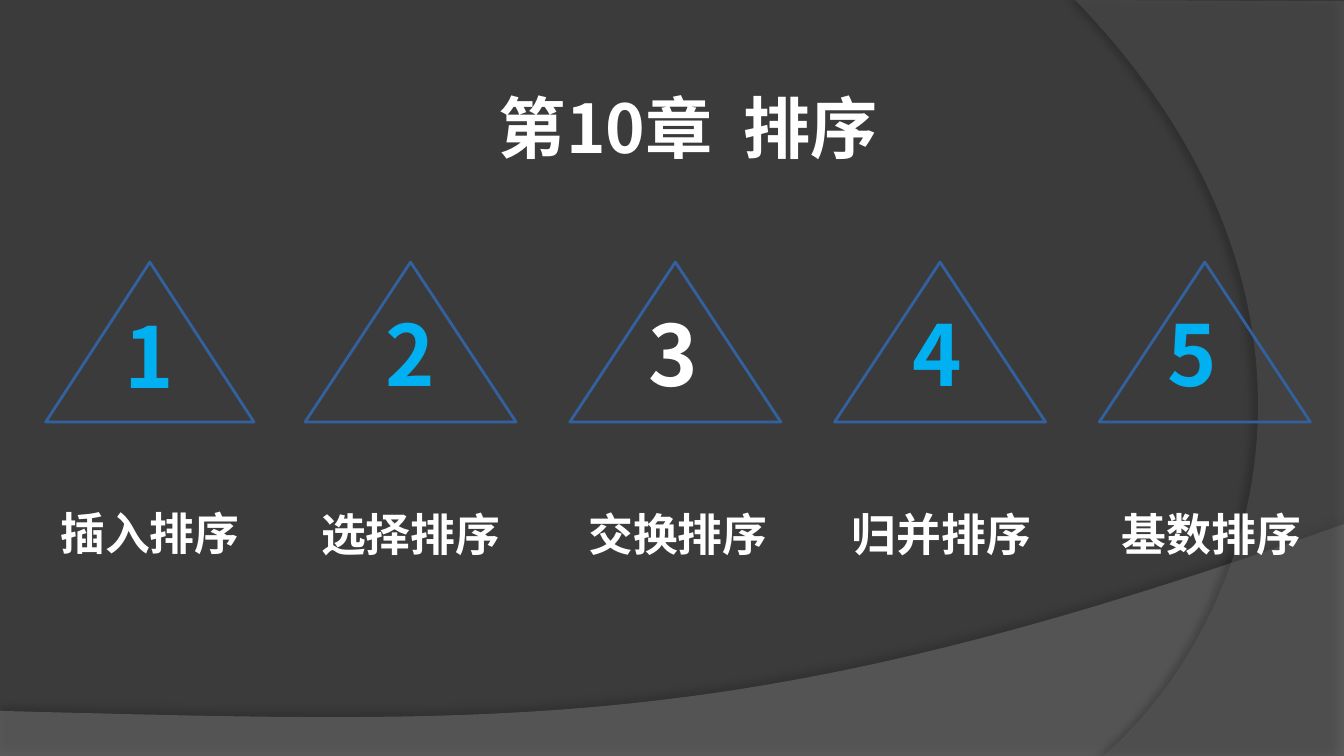
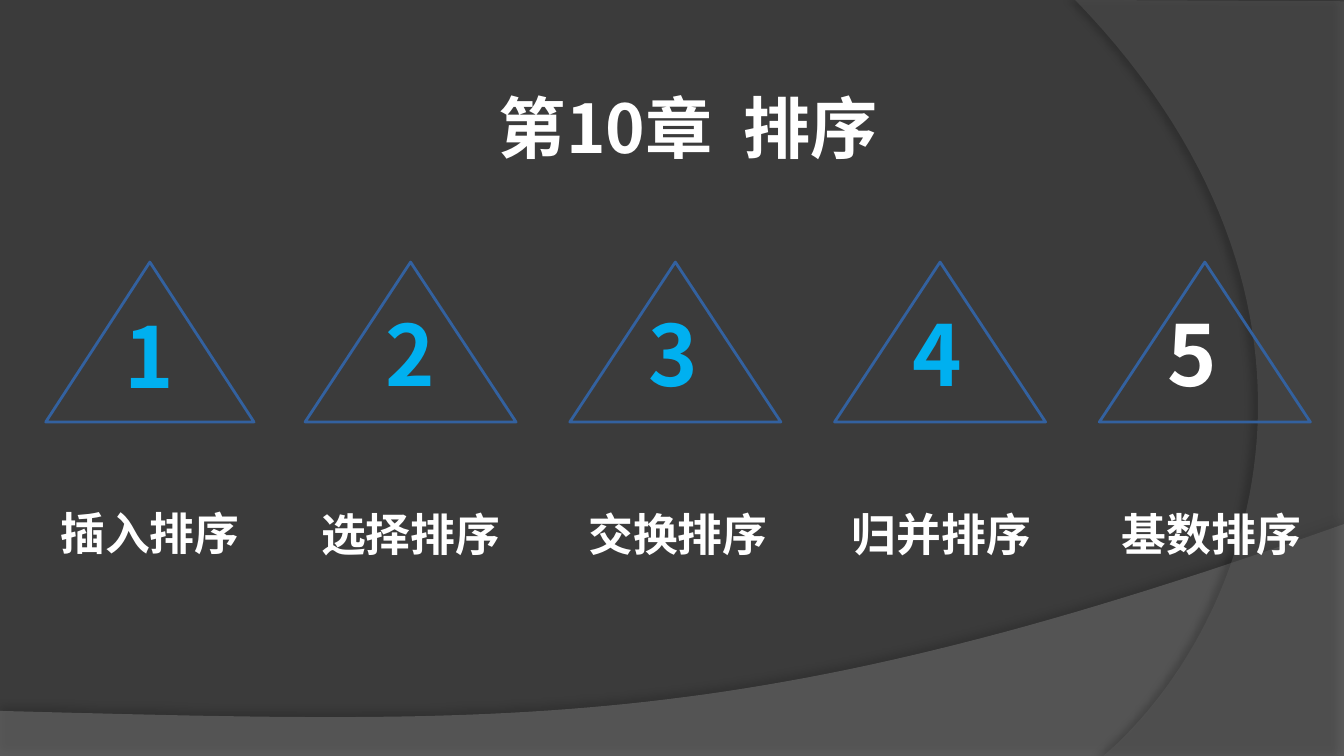
from dataclasses import dataclass

from lxml import etree
from pptx import Presentation
from pptx.dml.color import RGBColor
from pptx.enum.shapes import MSO_SHAPE
from pptx.enum.text import MSO_ANCHOR, MSO_AUTO_SIZE, PP_ALIGN
from pptx.oxml.ns import qn
from pptx.util import Inches, Pt

TRIANGLE = MSO_SHAPE.ISOSCELES_TRIANGLE
TOP = MSO_ANCHOR.TOP
GROW = MSO_AUTO_SIZE.SHAPE_TO_FIT_TEXT
LEFT, CENTER = PP_ALIGN.LEFT, PP_ALIGN.CENTER

# Square grid: 100 columns across the slide, rows of the same size
WIDTH = Inches(10)
HEIGHT = WIDTH * 9 // 16
CELL = WIDTH // 100
ROWS = HEIGHT / CELL

Point = tuple[float, float]


@dataclass(frozen=True)
class Theme:
    font: str = "Noto Sans CJK SC"
    background: str = "3B3B3B"
    text: str = "FFFFFF"
    number: str = "00B0F0"
    outline: str = "33619F"
    shadow: str = "000000"
    title_size: float = 36
    number_size: float = 45
    label_size: float = 24
    outline_width: float = 1.5


@dataclass(frozen=True)
class Box:
    left: float
    top: float
    width: float
    height: float

    def emu(self) -> tuple[int, ...]:
        return tuple(grid(v) for v in (self.left, self.top, self.width, self.height))


@dataclass(frozen=True)
class Insets:
    left: float = 1
    top: float = 0.5
    right: float = 1
    bottom: float = 0.5


@dataclass(frozen=True)
class TextStyle:
    size: float
    color: str
    align: PP_ALIGN = CENTER
    spacing: float = 1.0
    insets: Insets = Insets()


@dataclass(frozen=True)
class Band:
    """A straight outline closed by one cubic curve, with its soft edge."""
    corners: list[Point]
    curve: list[Point]
    color: str
    alpha: int
    shadow_alpha: int
    shadow_distance: float
    shadow_angle: int


@dataclass(frozen=True)
class Topic:
    label: str
    label_box: Box
    triangle: Box
    number_box: Box
    number_shift: float = 0
    label_align: PP_ALIGN = CENTER
    label_insets: Insets = Insets()


THEME = Theme()
TITLE = "第10章  排序"
TITLE_BOX = Box(20.9, 4.5, 60.6, 8.3)
TITLE_STYLE = TextStyle(THEME.title_size, THEME.text, CENTER, 1.25,
                        Insets(0.7, 0.4, 0.7, 0.4))

BANDS = [
    Band([(0, 52.9), (0, ROWS), (100, ROWS), (100, 39)],
         [(55.9, 54.7), (39.1, 53.9), (0, 52.9)],
         "7F7F7F", 45, 35, 3.5, 270),
    Band([(100, 0.1), (100, ROWS), (82.1, ROWS)],
         [(93.5, 46.4), (101.8, 22.5), (80, 0)],
         "5E5E5E", 40, 45, 4, 180),
]


def triangle_box(step: int) -> Box:
    return Box(22.7 + 19.7 * step, 19.5, 15.7, 11.9)


def number_box(left: float) -> Box:
    return Box(left, 22, 14.8, 8.6)


TOPICS = [
    Topic("插入排序", Box(3.5, 35.1, 16.5, 7.1), Box(3.4, 19.5, 15.5, 11.9),
          Box(3.8, 22.2, 14.6, 8.6), label_align=LEFT),
    Topic("选择排序", Box(22.4, 35.2, 16.7, 7.1), triangle_box(0),
          number_box(23.1), label_align=LEFT,
          label_insets=Insets(left=1.5, right=0)),
    Topic("交换排序", Box(39.8, 35.2, 21.3, 6.4), triangle_box(1),
          number_box(41.3), 1.4),
    Topic("归并排序", Box(59.4, 35.2, 21.3, 6.4), triangle_box(2),
          number_box(60.9), 1.4),
    Topic("基数排序", Box(80.3, 35.2, 19.7, 6.4), triangle_box(3),
          number_box(80.6), 0.7),
]
CURRENT_TOPICS = [3, 5]  # the highlighted number on each slide


def grid(cells: float) -> int:
    return round(cells * CELL)


def rgb(value: str) -> RGBColor:
    return RGBColor.from_string(value)


# Text
def write(sp, text: str, style: TextStyle) -> None:
    tf = sp.text_frame
    tf.text = text
    tf.word_wrap = True
    tf.auto_size = GROW
    tf.vertical_anchor = TOP
    tf.margin_left = grid(style.insets.left)
    tf.margin_top = grid(style.insets.top)
    tf.margin_right = grid(style.insets.right)
    tf.margin_bottom = grid(style.insets.bottom)
    p = tf.paragraphs[0]
    p.alignment = style.align
    p.line_spacing = style.spacing
    r = p.runs[0]
    r.font.name = THEME.font
    r.font.size = Pt(style.size)
    r.font.bold = True
    r.font.color.rgb = rgb(style.color)
    ea = etree.SubElement(r.font._element, qn("a:ea"))
    ea.set("typeface", THEME.font)


# Background bands
def curve_points(start: Point, curve: list[Point], steps: int = 60) -> list[Point]:
    a, b, c, d = start, *curve
    points = []
    for i in range(1, steps + 1):
        t = i / steps
        u = 1 - t
        points.append(tuple(
            u**3 * a[k] + 3 * u * u * t * b[k] + 3 * u * t * t * c[k] + t**3 * d[k]
            for k in (0, 1)))
    return points


def add_alpha(color, percent: int) -> None:
    etree.SubElement(color, qn("a:alpha")).set("val", str(percent * 1000))


def add_band(slide, band: Band):
    outline = band.corners + curve_points(band.corners[-1], band.curve)
    points = [(grid(x), grid(y)) for x, y in outline]
    builder = slide.shapes.build_freeform(*points[0])
    builder.add_line_segments(points[1:], close=True)
    sp = builder.convert_to_shape()
    sp.fill.solid()
    sp.fill.fore_color.rgb = rgb(band.color)
    sp.line.fill.background()
    sp.shadow.inherit = False
    props = sp.element.spPr
    add_alpha(props.find(qn("a:solidFill")).find(qn("a:srgbClr")), band.alpha)
    shadow = etree.SubElement(props.find(qn("a:effectLst")), qn("a:outerShdw"))
    shadow.set("blurRad", str(Pt(4)))
    shadow.set("dist", str(Pt(band.shadow_distance)))
    shadow.set("dir", str(band.shadow_angle * 60000))
    color = etree.SubElement(shadow, qn("a:srgbClr"))
    color.set("val", THEME.shadow)
    add_alpha(color, band.shadow_alpha)
    return sp


def dress_master(prs, slide) -> None:
    """Draw the bands on a slide, then hand them to the master."""
    master = prs.slide_master
    master.background.fill.solid()
    master.background.fill.fore_color.rgb = rgb(THEME.background)
    tree = master.element.cSld.spTree
    for i, band in enumerate(BANDS):
        el = add_band(slide, band).element
        el.nvSpPr.cNvPr.set("id", str(100 + i))
        tree.insert(2 + i, el)


# Slide content
def add_title(slide) -> None:
    sp = slide.shapes.title
    sp.left, sp.top, sp.width, sp.height = TITLE_BOX.emu()
    write(sp, TITLE, TITLE_STYLE)


def add_topic(slide, number: int, topic: Topic, current: bool) -> None:
    shapes = slide.shapes.add_group_shape().shapes
    label = shapes.add_textbox(*topic.label_box.emu())
    write(label, topic.label, TextStyle(THEME.label_size, THEME.text,
                                        topic.label_align, 1.5, topic.label_insets))
    sp = shapes.add_shape(TRIANGLE, *topic.triangle.emu())
    sp.shadow.inherit = False
    sp.fill.background()
    sp.line.color.rgb = rgb(THEME.outline)
    sp.line.width = Pt(THEME.outline_width)
    digit = shapes.add_textbox(*topic.number_box.emu())
    color = THEME.text if current else THEME.number
    insets = Insets(left=1 + 2 * topic.number_shift)
    write(digit, str(number), TextStyle(THEME.number_size, color, insets=insets))


def main() -> None:
    prs = Presentation()
    prs.slide_width, prs.slide_height = WIDTH, HEIGHT
    layout = prs.slide_layouts.get_by_name("Title Only")
    for current in CURRENT_TOPICS:
        s = prs.slides.add_slide(layout)
        add_title(s)
        for number, topic in enumerate(TOPICS, 1):
            add_topic(s, number, topic, number == current)
    dress_master(prs, prs.slides[0])
    prs.save("out.pptx")


if __name__ == "__main__":
    main()
